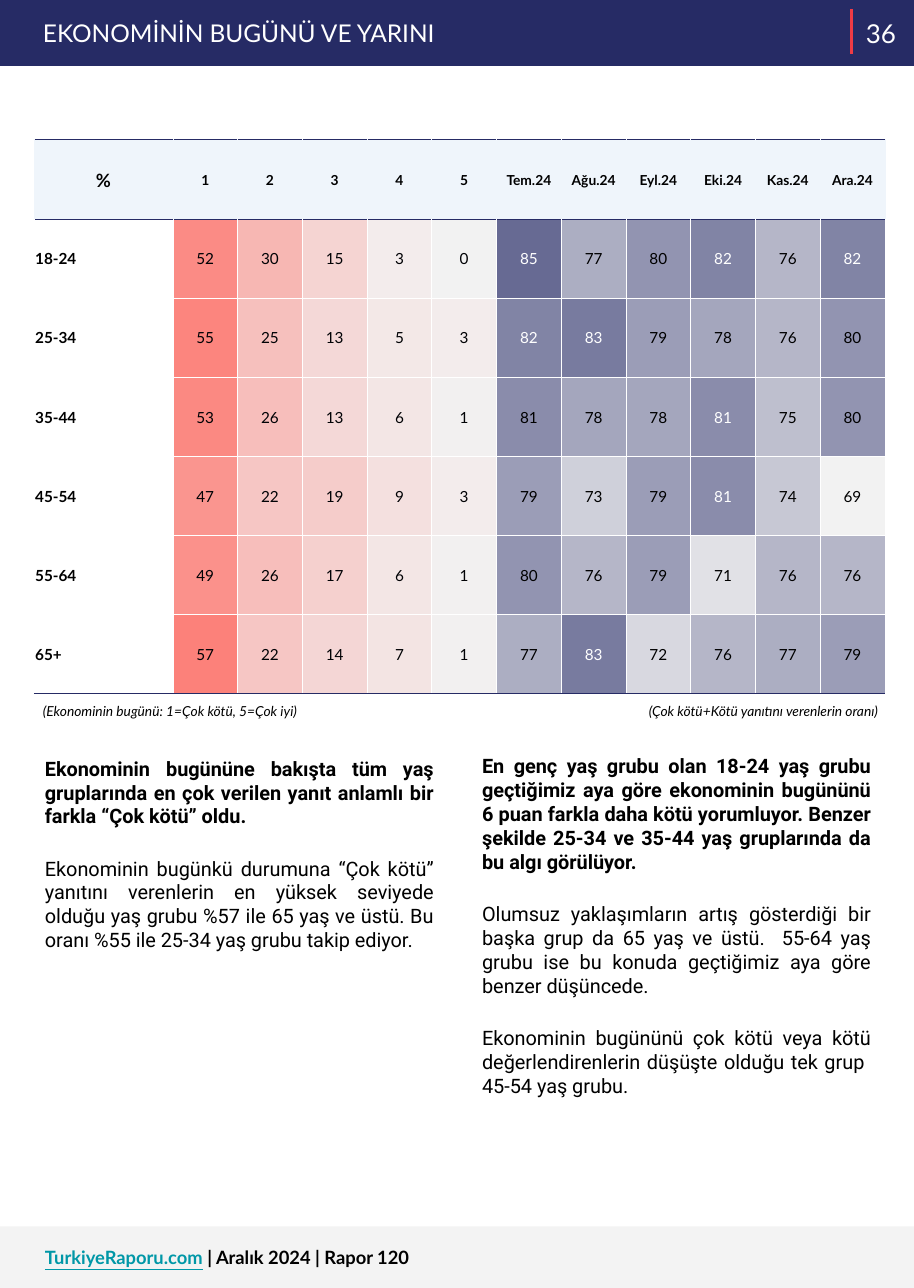
from lxml.etree import SubElement
from pptx import Presentation
from pptx.dml.color import RGBColor
from pptx.enum.shapes import MSO_CONNECTOR, MSO_SHAPE
from pptx.enum.text import MSO_ANCHOR, PP_ALIGN
from pptx.oxml.ns import qn
from pptx.util import Emu, Inches, Pt

COLS, ROWS = 83, 117
UNIT = Inches(0.1)
NAVY, RED, WHITE, BLACK = "262B65", "EF3B45", "FFFFFF", "000000"
PALE, HEADER, TEAL = "F3F3F3", "EFF5FB", "0097A7"
HEAT_LOW, HEAT_SCORE, HEAT_MONTH = "F2F2F2", "FC817A", "676A93"

SCORES = ["1", "2", "3", "4", "5"]
MONTHS = ["Tem.24", "Ağu.24", "Eyl.24", "Eki.24", "Kas.24", "Ara.24"]
HEADINGS = ["%"] + SCORES + MONTHS
AGE_GROUPS = {
    "18-24": [52, 30, 15, 3, 0, 85, 77, 80, 82, 76, 82],
    "25-34": [55, 25, 13, 5, 3, 82, 83, 79, 78, 76, 80],
    "35-44": [53, 26, 13, 6, 1, 81, 78, 78, 81, 75, 80],
    "45-54": [47, 22, 19, 9, 3, 79, 73, 79, 81, 74, 69],
    "55-64": [49, 26, 17, 6, 1, 80, 76, 79, 71, 76, 76],
    "65+": [57, 22, 14, 7, 1, 77, 83, 72, 76, 77, 79],
}
TODAY_TEXT = [
    ("Ekonominin bugününe bakışta tüm yaş gruplarında en çok verilen yanıt "
     "anlamlı bir farkla “Çok kötü” oldu.", True),
    ("Ekonominin bugünkü durumuna “Çok kötü” yanıtını verenlerin en yüksek "
     "seviyede olduğu yaş grubu %57 ile 65 yaş ve üstü. Bu oranı %55 ile "
     "25-34 yaş grubu takip ediyor.", False),
]
TREND_TEXT = [
    ("En genç yaş grubu olan 18-24 yaş grubu geçtiğimiz aya göre ekonominin "
     "bugününü 6 puan farkla daha kötü yorumluyor. Benzer şekilde 25-34 ve "
     "35-44 yaş gruplarında da bu algı görülüyor.", True),
    ("Olumsuz yaklaşımların artış gösterdiği bir başka grup da 65 yaş ve "
     "üstü.  55-64 yaş grubu ise bu konuda geçtiğimiz aya göre benzer "
     "düşüncede.", False),
    ("Ekonominin bugününü çok kötü veya kötü değerlendirenlerin düşüşte "
     "olduğu tek grup  45-54 yaş grubu.", False),
]


def grid(*lengths):
    return [Emu(round(n * UNIT)) for n in lengths]


def color(hex_string):
    return RGBColor.from_string(hex_string)


def blend(low, high, share):
    pairs = zip(color(low), color(high))
    return "".join(f"{round(a + (b - a) * share):02X}" for a, b in pairs)


def add_run(p, text, size, fill=BLACK, font="Lato", bold=False, italic=False):
    r = p.add_run()
    r.text = text
    r.font.name, r.font.size = font, Pt(size)
    r.font.bold, r.font.italic = bold, italic
    r.font.color.rgb = color(fill)
    return r


def set_frame(tf, anchor=MSO_ANCHOR.TOP):
    tf.word_wrap = True
    tf.vertical_anchor = anchor
    tf.margin_left = tf.margin_right = tf.margin_top = tf.margin_bottom = UNIT


def add_text(s, place, align=PP_ALIGN.LEFT, anchor=MSO_ANCHOR.TOP):
    tf = s.shapes.add_textbox(*grid(*place)).text_frame
    set_frame(tf, anchor)
    tf.paragraphs[0].alignment = align
    return tf


def add_band(s, top, height, fill):
    sp = s.shapes.add_shape(MSO_SHAPE.RECTANGLE, *grid(0, top, COLS, height))
    sp.shadow.inherit = False
    sp.fill.solid()
    sp.fill.fore_color.rgb = color(fill)
    sp.line.fill.background()
    return sp


def add_rule(s, x, top, bottom):
    line = s.shapes.add_connector(MSO_CONNECTOR.STRAIGHT, *grid(x, top, x, bottom))
    line.line.color.rgb = color(RED)
    line.line.width = Pt(2.25)
    SubElement(line.element.spPr, qn("a:effectLst"))


def add_header(s):
    band = add_band(s, 0, 6, NAVY)
    add_rule(s, 77.3, 0.8, 4.9)
    title = s.shapes.title
    title.left, title.top, title.width, title.height = grid(2.9, 0.6, 64.5, 4.7)
    set_frame(title.text_frame)
    p = title.text_frame.paragraphs[0]
    p.alignment = PP_ALIGN.LEFT
    add_run(p, "EKONOMİNİN BUGÜNÜ VE YARINI", 16, WHITE)
    band.element.addnext(title.element)
    number = add_text(s, (77.3, 0, 5.4, 6), PP_ALIGN.CENTER, MSO_ANCHOR.MIDDLE)
    add_run(number.paragraphs[0], "36", 17, WHITE)


def add_footer(s):
    add_band(s, 111.4, ROWS - 111.4, PALE)
    p = add_text(s, (3.1, 112.2, 69.6, 4)).paragraphs[0]
    add_run(p, "TurkiyeRaporu.com", 12, TEAL, bold=True).font.underline = True
    add_run(p, " ", 12, RED, bold=True)
    add_run(p, "| Aralık 2024 | Rapor 120", 12, bold=True)


def add_note(s, left, text, align):
    tf = add_text(s, (left, 63.1, 46.1, 3.5), align)
    add_run(tf.paragraphs[0], text, 9, italic=True)


def add_story(s, left, top, height, story):
    tf = add_text(s, (left, top, 37.25, height))
    for i, (text, bold) in enumerate(story):
        p = tf.add_paragraph() if i else tf.paragraphs[0]
        p.alignment = PP_ALIGN.JUSTIFY
        if i:
            p.space_before = Pt(18.5)
        add_run(p, text, 13, font="Roboto", bold=bold)


def set_borders(cell, sides, top, bottom):
    tc_pr = cell._tc.get_or_add_tcPr()
    for tag, fill in zip(("lnL", "lnR", "lnT", "lnB"), (sides, sides, top, bottom)):
        ln = SubElement(tc_pr, qn(f"a:{tag}"), w=str(Pt(0.5)))
        SubElement(SubElement(ln, qn("a:solidFill")), qn("a:srgbClr"), val=fill)


def fill_cell(cell, text, fill, size, ink=BLACK, bold=False, align=PP_ALIGN.CENTER):
    cell.fill.solid()
    cell.fill.fore_color.rgb = color(fill)
    cell.vertical_anchor = MSO_ANCHOR.MIDDLE
    cell.margin_left = cell.margin_right = cell.margin_top = Inches(0.01)
    cell.margin_bottom = 0
    p = cell.text_frame.paragraphs[0]
    p.alignment = align
    add_run(p, text, size, ink, bold=bold)


def value_colors(value, heading):
    if heading in SCORES:
        return blend(HEAT_LOW, HEAT_SCORE, value / 57), "010205"
    white = value > 81 or (value == 81 and heading == "Eki.24")
    return blend(HEAT_LOW, HEAT_MONTH, (value - 69) / 16), WHITE if white else BLACK


def add_age_table(s):
    row_count, col_count = len(AGE_GROUPS) + 1, len(HEADINGS)
    place = grid(3.1, 12.7, 77.3, 50.3)
    table = s.shapes.add_table(row_count, col_count, *place).table
    table.first_row = table.horz_banding = False
    label_width, value_width = grid(12.6, (77.3 - 12.6) / (col_count - 1))
    for i, column in enumerate(table.columns):
        column.width = value_width if i else label_width
    for i in range(row_count):
        for j in range(col_count):
            set_borders(table.cell(i, j), WHITE if i else HEADER,
                        NAVY if i < 2 else WHITE,
                        NAVY if i in (0, row_count - 1) else WHITE)
    for j, heading in enumerate(HEADINGS):
        fill_cell(table.cell(0, j), heading, HEADER, 9 if j else 12, bold=True)
    for i, (age, values) in enumerate(AGE_GROUPS.items(), 1):
        fill_cell(table.cell(i, 0), age, WHITE, 10, bold=True, align=PP_ALIGN.LEFT)
        for j, value in enumerate(values, 1):
            fill, ink = value_colors(value, HEADINGS[j])
            fill_cell(table.cell(i, j), str(value), fill, 10, ink)


def main():
    prs = Presentation()
    prs.slide_width, prs.slide_height = grid(COLS, ROWS)
    s = prs.slides.add_slide(prs.slide_layouts[5])
    add_footer(s)
    add_header(s)
    add_note(s, 34.6, "(Çok kötü+Kötü yanıtını verenlerin oranı)", PP_ALIGN.RIGHT)
    add_note(s, 2.9, "(Ekonominin bugünü: 1=Çok kötü, 5=Çok iyi)", PP_ALIGN.LEFT)
    add_story(s, 3.1, 67.7, 27.6, TODAY_TEXT)
    add_story(s, 42.8, 67.5, 38.5, TREND_TEXT)
    add_age_table(s)
    prs.save("out.pptx")


if __name__ == "__main__":
    main()
